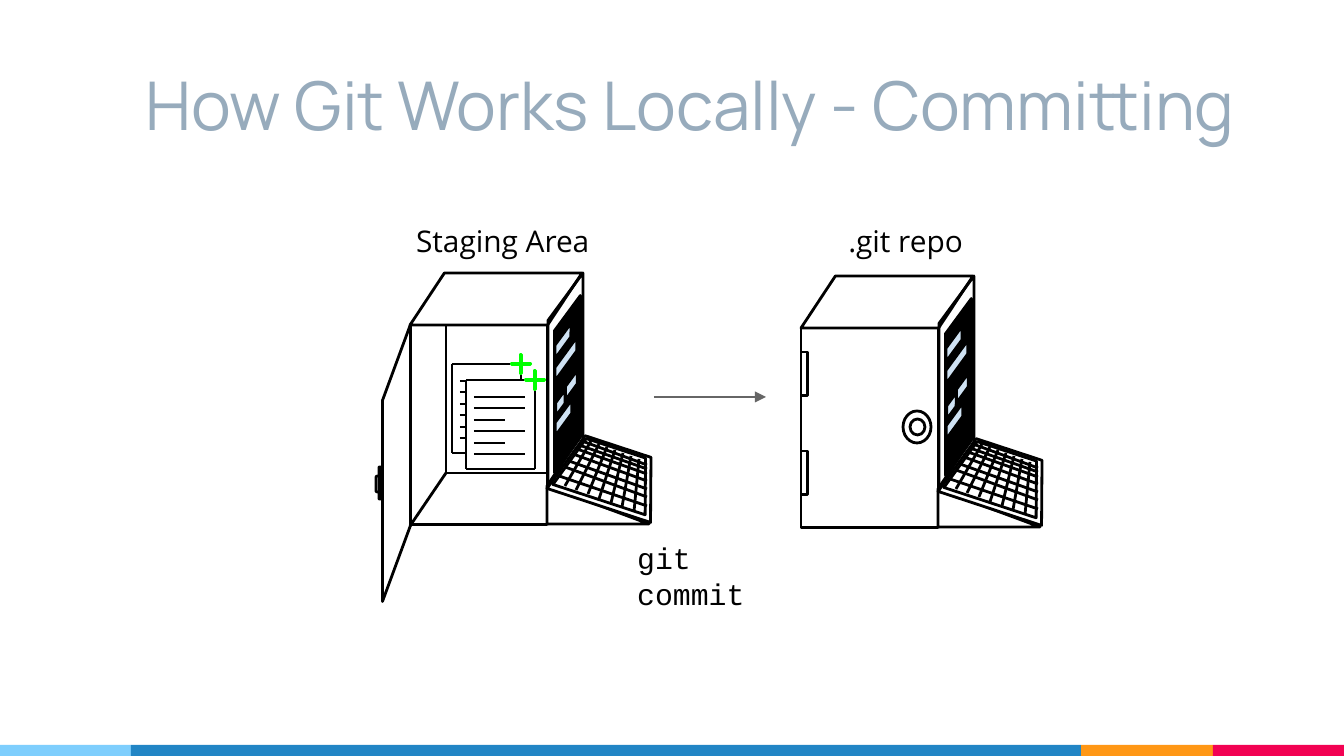
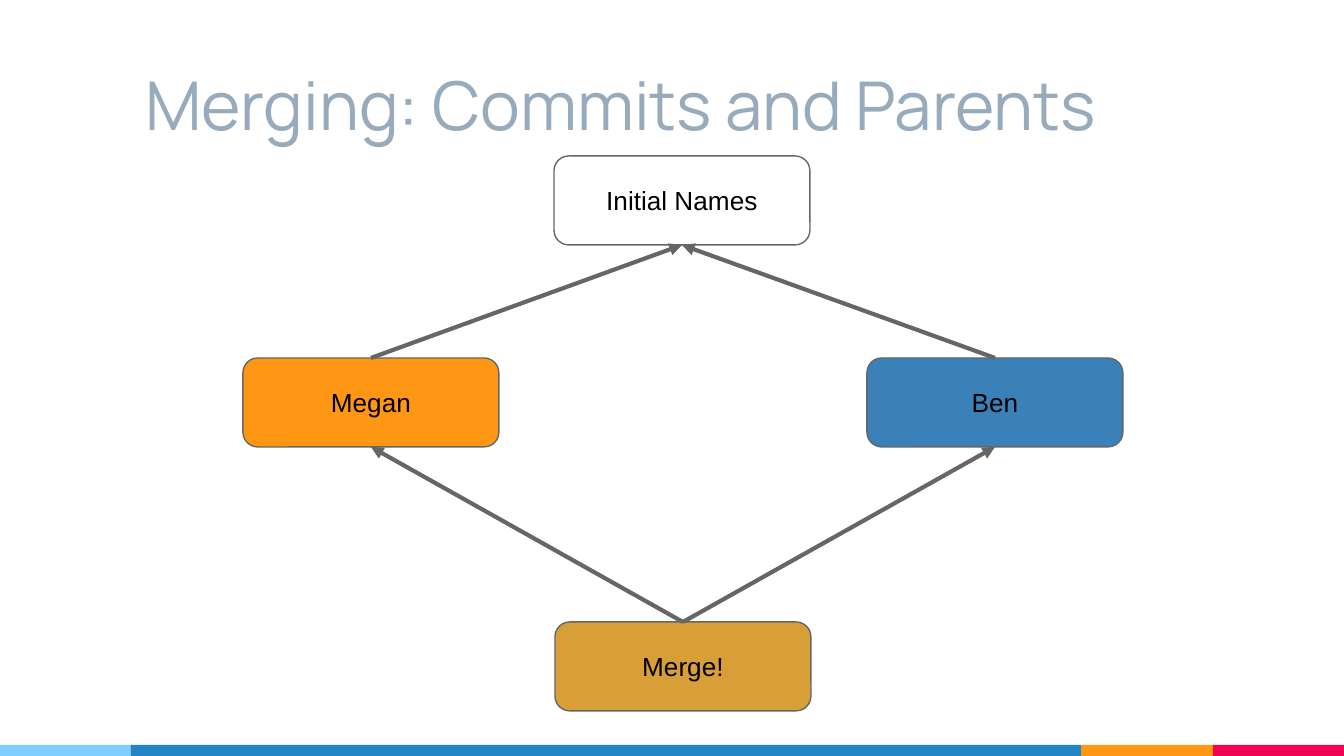
import pptx
import pptx.dml.color
import pptx.enum.shapes
import pptx.enum.text
import pptx.oxml.ns
import pptx.util
from lxml import etree

RGB = pptx.dml.color.RGBColor
SHAPE = pptx.enum.shapes.MSO_SHAPE
ALIGN = pptx.enum.text.PP_ALIGN
ANCHOR = pptx.enum.text.MSO_ANCHOR

# Colours
BLACK = RGB(0x00, 0x00, 0x00)
WHITE = RGB(0xFF, 0xFF, 0xFF)
GREY = RGB(0x66, 0x66, 0x66)
TITLE_BLUE = RGB(0x97, 0xAB, 0xBC)
SKY = RGB(0x7E, 0xCE, 0xFD)
BLUE = RGB(0x21, 0x85, 0xC5)
ORANGE = RGB(0xFF, 0x97, 0x15)
RED = RGB(0xF2, 0x02, 0x53)
STEEL = RGB(0x3A, 0x81, 0xBA)
GOLD = RGB(0xD8, 0x9F, 0x39)
CODE_BLUE = RGB(0xCF, 0xE2, 0xF3)
GREEN = RGB(0x00, 0xFF, 0x00)

# Scale and sizes
PX_PER_INCH = 134.4
SLIDE_W, SLIDE_H = 1344, 756
BAND_TOP = 745
BAND = [(SKY, 131), (BLUE, 950), (ORANGE, 132), (RED, 131)]
INK = 1.5

# Text formats
INSET = pptx.util.Inches(0.1)
FRAME = {"word_wrap": True, "margin_left": INSET, "margin_right": INSET,
         "margin_top": INSET, "margin_bottom": INSET}
TITLE_FONT = {"name": "Manrope", "size": pptx.util.Pt(36)}
LABEL_FONT = {"name": "Open Sans", "size": pptx.util.Pt(16)}
CODE_FONT = {"name": "Courier New", "size": pptx.util.Pt(16)}
COMMIT_FONT = {"name": "Arial", "size": pptx.util.Pt(14)}

# Cabinet and laptop parts, measured from the front's top left corner
KEY_COLUMNS = [(155 + 23 * i // 2, 161 + 13 * i // 3, 181 + 8 * i, 116 + 3 * i)
               for i in range(7)]
KEY_ROWS = [(172, 116, 140), (169, 120, 144), (167, 124, 149), (163, 129, 156),
            (159, 136, 164), (155, 142, 172), (149, 151, 181)]
KEY_ROW_END = 237
CODE_BARS = [(134, 12, 38), (132, 30, 48), (137, 74, 27), (146, 56, 31), (134, 89, 39)]


def px(length):
    return pptx.util.Emu(round(length * 914400 / PX_PER_INCH))


def apply(target, formats):
    for attribute, value in formats.items():
        setattr(target, attribute, value)


def add_shape(shapes, kind, box, fill=None, line=BLACK, width=INK,
              turn=0, flip=False, adjust=()):
    part = shapes.add_shape(kind, *map(px, box))
    part.shadow.inherit = False
    part.rotation = turn
    if flip:
        part._element.spPr.xfrm.set("flipH", "1")
    for index, value in enumerate(adjust):
        part.adjustments[index] = value
    if fill is None:
        part.fill.background()
    else:
        part.fill.solid()
        part.fill.fore_color.rgb = fill
    if line is None:
        part.line.fill.background()
    else:
        part.line.color.rgb = line
        part.line.width = pptx.util.Pt(width)
    return part


def add_line(shapes, ends, color=BLACK, width=INK, arrow=False):
    stroke = shapes.add_connector(pptx.enum.shapes.MSO_CONNECTOR.STRAIGHT, *map(px, ends))
    stroke.line.color.rgb = color
    stroke.line.width = pptx.util.Pt(width)
    qn = pptx.oxml.ns.qn
    if arrow:
        etree.SubElement(stroke.line._get_or_add_ln(), qn("a:tailEnd"), type="triangle")
    etree.SubElement(stroke._element.spPr, qn("a:effectLst"))
    return stroke


def write(holder, text, font, color=BLACK, anchor=ANCHOR.BOTTOM, align=ALIGN.LEFT):
    frame = holder.text_frame
    apply(frame, FRAME)
    frame.vertical_anchor = anchor
    paragraph = frame.paragraphs[0]
    paragraph.alignment = align
    run = paragraph.add_run()
    run.text = text
    apply(run.font, font)
    run.font.color.rgb = color


def add_text(slide, box, text, font, color=BLACK):
    write(slide.shapes.add_textbox(*map(px, box)), text, font, color)


def start_slide(deck, title):
    slide = deck.slides.add_slide(deck.slide_layouts[6])
    left = 0
    for color, width in BAND:
        add_shape(slide.shapes, SHAPE.RECTANGLE,
                  (left, BAND_TOP, width, SLIDE_H - BAND_TOP), color, line=None)
        left += width
    add_text(slide, (132, 31, 1172, 126), title, TITLE_FONT, TITLE_BLUE)
    return slide


class Drawing:
    """A group whose parts are placed from one corner."""

    def __init__(self, slide, left, top):
        self.shapes = slide.shapes.add_group_shape().shapes
        self.left, self.top = left, top

    def shape(self, kind, x, y, w, h, **look):
        add_shape(self.shapes, kind, (self.left + x, self.top + y, w, h), **look)

    def line(self, x1, y1, x2, y2):
        add_line(self.shapes, (self.left + x1, self.top + y1,
                               self.left + x2, self.top + y2))


def draw_cabinet(slide, left, top):
    cabinet = Drawing(slide, left, top)
    # Box
    cabinet.shape(SHAPE.RECTANGLE, 0, 0, 137, 200)
    cabinet.shape(SHAPE.FLOWCHART_DATA, 0, -52, 172, 52)
    upright = {"turn": 90, "flip": True, "adjust": [1.358]}
    cabinet.shape(SHAPE.PARALLELOGRAM, 30, 56, 251, 35, **upright)
    # Laptop screen and base
    cabinet.shape(SHAPE.PARALLELOGRAM, 69, 46, 177, 26, fill=BLACK, **upright)
    cabinet.shape(SHAPE.RIGHT_TRIANGLE, 137, 161, 102, 38, fill=WHITE)
    cabinet.line(137, 161, 172, 109)
    # Keyboard
    for box in [(144, 120, 109, 62), (149, 122, 97, 54)]:
        cabinet.shape(SHAPE.TRAPEZOID, *box, fill=WHITE, turn=18.2, adjust=[0.32])
    for column in KEY_COLUMNS:
        cabinet.line(*column)
    for x, y, end_y in KEY_ROWS:
        cabinet.line(x, y, KEY_ROW_END, end_y)
    # Code on the screen
    for x, y, length in CODE_BARS:
        cabinet.shape(SHAPE.PARALLELOGRAM, x, y, length, 8,
                      fill=CODE_BLUE, turn=306.1, adjust=[1.379])
    return cabinet


def close_door(cabinet):
    for dial in [(102, 83, 28, 32), (109, 91, 15, 16)]:
        cabinet.shape(SHAPE.OVAL, *dial)
    for hinge_top in (24, 123):
        cabinet.shape(SHAPE.RECTANGLE, 0, hinge_top, 7, 44)


def open_door(cabinet):
    # Inside walls
    cabinet.shape(SHAPE.RECTANGLE, 36, 0, 102, 148)
    cabinet.line(36, 148, 0, 201)
    # Door and handle
    cabinet.shape(SHAPE.PARALLELOGRAM, -152, 124, 277, 28,
                  turn=90, flip=True, adjust=[2.713])
    for handle, rounding in [((-46, 157, 32, 2), 0.27), ((-40, 157, 16, 4), 0.39)]:
        cabinet.shape(SHAPE.ROUND_2_SAME_RECTANGLE, *handle,
                      turn=270, adjust=[rounding, 0])


def draw_page(cabinet, x, y, paper=False):
    if paper:
        cabinet.shape(SHAPE.RECTANGLE, x, y + 1, 69, 89, fill=WHITE, line=None)
    for row, end in enumerate([59, 59, 39, 59, 39, 59]):
        row_y = y + 17 + 23 * row // 2
        cabinet.line(x + 8, row_y, x + end, row_y)
    for x1, y1, x2, y2 in [(0, 0, 0, 89), (69, 11, 69, 89), (0, 0, 58, 0), (0, 89, 69, 89)]:
        cabinet.line(x + x1, y + y1, x + x2, y + y2)
    cabinet.shape(SHAPE.MATH_PLUS, x + 56, y - 13, 26, 26,
                  fill=GREEN, line=GREEN, adjust=[0.07])


def add_commit(slide, left, top, name, fill=None):
    commit = add_shape(slide.shapes, SHAPE.ROUNDED_RECTANGLE, (left, top, 256, 89),
                       fill, GREY, 0.75)
    write(commit, name, COMMIT_FONT, anchor=ANCHOR.MIDDLE, align=ALIGN.CENTER)
    return commit


def link_parent(slide, child, parent):
    link = add_line(slide.shapes, (0, 0, 1, 1), GREY, 2.25, arrow=True)
    link.begin_connect(child, 0)
    link.end_connect(parent, 2)


def build_committing(deck):
    slide = start_slide(deck, "How Git Works Locally - Committing")
    add_text(slide, (624, 569, 195, 56), "git commit", CODE_FONT)
    add_line(slide.shapes, (654, 397, 766, 397), GREY, INK, arrow=True)
    close_door(draw_cabinet(slide, 801, 328))
    staging = draw_cabinet(slide, 410, 325)
    open_door(staging)
    draw_page(staging, 42, 39)
    draw_page(staging, 56, 55, paper=True)
    add_text(slide, (403, 216, 203, 56), "Staging Area", LABEL_FONT)
    add_text(slide, (835, 216, 163, 56), ".git repo", LABEL_FONT)


def build_merging(deck):
    slide = start_slide(deck, "Merging: Commits and Parents")
    initial = add_commit(slide, 554, 156, "Initial Names")
    ben = add_commit(slide, 867, 358, "Ben", STEEL)
    megan = add_commit(slide, 243, 358, "Megan", ORANGE)
    merge = add_commit(slide, 555, 622, "Merge!", GOLD)
    for child, parent in [(megan, initial), (ben, initial), (merge, megan), (merge, ben)]:
        link_parent(slide, child, parent)


def main():
    deck = pptx.Presentation()
    apply(deck, {"slide_width": px(SLIDE_W), "slide_height": px(SLIDE_H)})
    build_committing(deck)
    build_merging(deck)
    deck.save("out.pptx")


if __name__ == "__main__":
    main()
